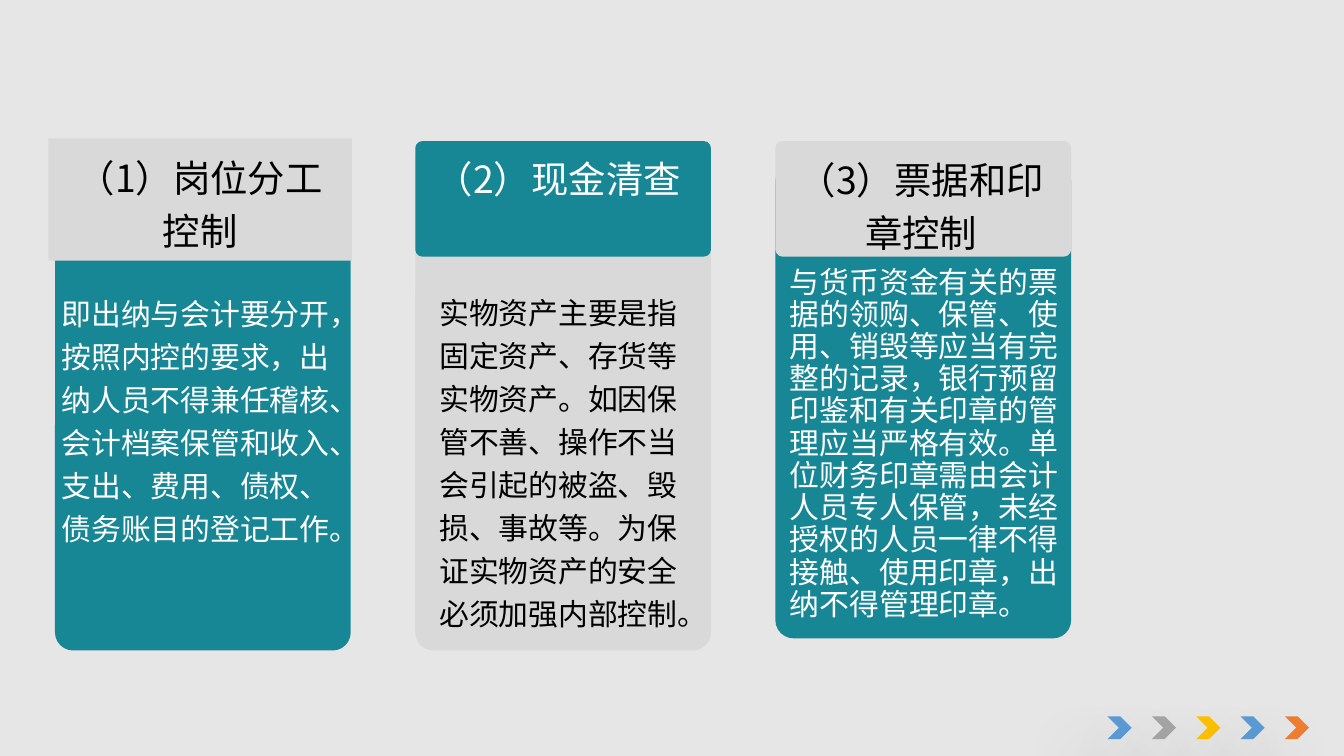
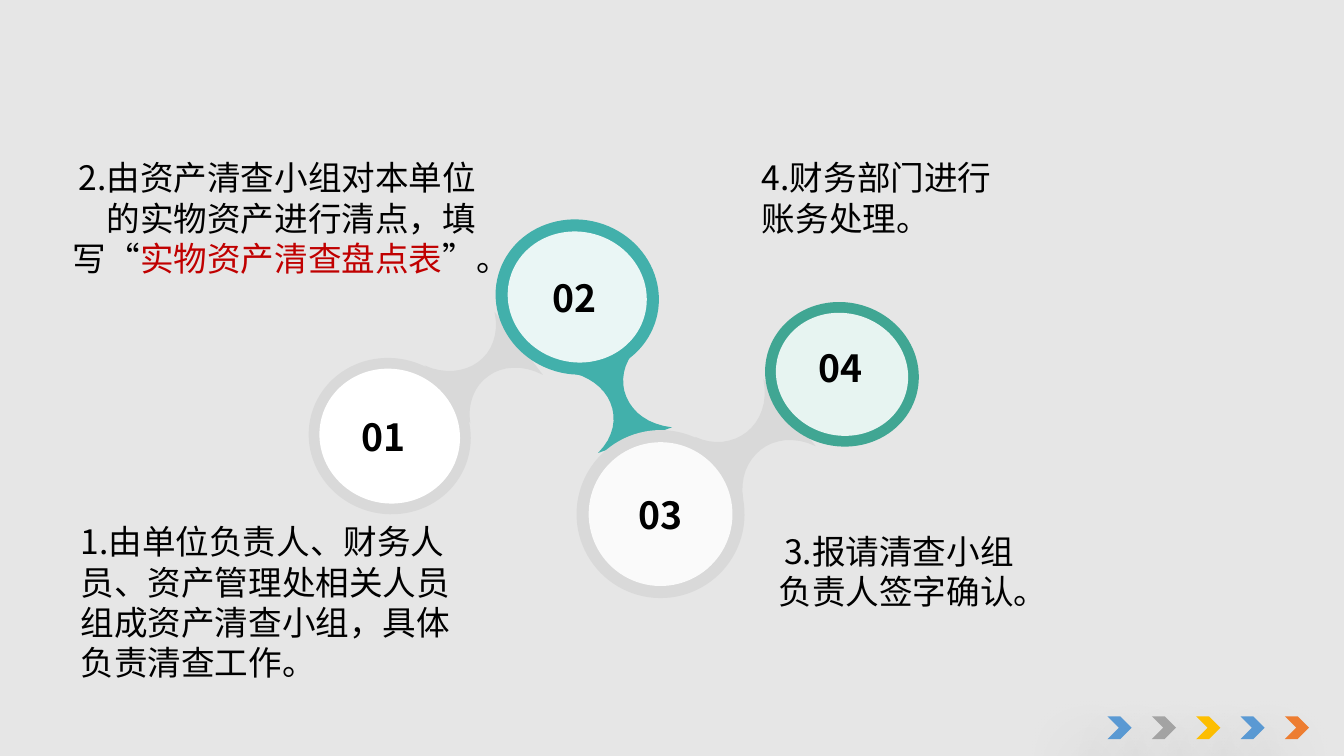
from dataclasses import dataclass

from lxml import etree
from pptx import Presentation
from pptx import util as u
from pptx.dml.color import RGBColor
from pptx.enum import shapes, text
from pptx.oxml.ns import qn


@dataclass(frozen=True)
class Theme:
    font: str = "Noto Sans CJK SC"
    page: str = "E6E6E6"
    teal: str = "178695"
    grey: str = "D9D9D9"
    white: str = "FFFFFF"
    black: str = "000000"
    red: str = "C00000"
    aqua: str = "42B0AB"
    green: str = "40A693"
    heading: int = 20
    note: int = 18
    body: int = 16
    chevrons: tuple = ("5B9BD5", "A5A5A5", "FFC000", "5B9BD5", "ED7D31")


THEME = Theme()
SHAPE = shapes.MSO_SHAPE
ALIGN = text.PP_ALIGN

# ---- Content: control cards (boxes are left offset from column, top, width, height)
COLUMN_LEFT, COLUMN_STEP, COLUMN_WIDTH = 0.41, 2.68, 2.2
CARD_TOP, CARD_HEIGHT, HEADER_HEIGHT, CORNER = 1.05, 3.79, 0.86, 0.061
CARDS = [
    dict(heading="（1）岗位分工控制", square_header=(-0.05, 1.03, 2.26, 0.91),
         panel=THEME.teal, header=THEME.grey, heading_color=THEME.black,
         body_color=THEME.white, body_box=(-0.05, 2.1, 2.21, 2.04), spacing=1.2,
         body="即出纳与会计要分开，按照内控的要求，出纳人员不得兼任稽核、会计档案保管和收入、"
              "支出、费用、债权、债务账目的登记工作。"),
    dict(heading="（2）现金清查", heading_box=(-0.02, 1.05, 2.17, 0.47),
         panel=THEME.grey, header=THEME.teal, heading_color=THEME.white,
         body_color=THEME.black, body_box=(0.08, 2.09, 2.09, 2.66), spacing=1.2,
         body="实物资产主要是指固定资产、存货等实物资产。如因保管不善、操作不当会引起的被盗、"
              "毁损、事故等。为保证实物资产的安全必须加强内部控制。"),
    dict(heading="（3）票据和印章控制", heading_box=(0, 1.05, 2.17, 0.88),
         panel=THEME.teal, header=THEME.grey, heading_color=THEME.black,
         panel_top=1.21, panel_height=3.54,
         body_color=THEME.white, body_box=(0.01, 1.94, 2.37, 2.77), spacing=0.9,
         body="与货币资金有关的票据的领购、保管、使用、销毁等应当有完整的记录，银行预留印鉴和"
              "有关印章的管理应当严格有效。单位财务印章需由会计人员专人保管，未经授权的人员"
              "一律不得接触、使用印章，出纳不得管理印章。"),
]

# ---- Content: inventory steps
TILT = 285.8
# A link is: start, curve, far corner, next curve; each curve is (control, control, end)
STEPS = [
    dict(number="01", number_at=(2.59, 3.03), ring=(2.32, 2.64, 1.16, 1.21), inset=0.08,
         color=THEME.grey, opacity=100,
         link=((3.16, 2.72), ((3.45, 2.85), (3.75, 2.66), (3.68, 2.32)), (4.04, 2.79),
               ((3.73, 2.63), (3.45, 2.85), (3.5, 3.15)))),
    dict(number="02", number_at=(4.01, 2), ring=(3.72, 1.6, 1.15, 1.22), inset=0.09,
         color=THEME.aqua, opacity=89,
         link=((4.74, 2.59), ((4.53, 2.81), (4.65, 3.14), (5, 3.18)), (4.45, 3.37),
               ((4.69, 3.13), (4.53, 2.81), (4.22, 2.77)))),
    dict(number="03", number_at=(4.65, 3.61), ring=(4.29, 3.2, 1.25, 1.25), inset=0.09,
         color=THEME.grey, opacity=88,
         link=((5.17, 3.25), ((5.45, 3.38), (5.75, 3.17), (5.68, 2.82)), (6.07, 3.32),
               ((5.75, 3.17), (5.48, 3.41), (5.53, 3.71)))),
    dict(number="04", number_at=(5.99, 2.52), ring=(5.73, 2.21, 1.07, 1.15), inset=0.08,
         color=THEME.green, opacity=88, link=None),
]
NOTES = [
    ((0.4, 1.12, 3.24, 1.01), ALIGN.RIGHT,
     [("2.由资产清查小组对本单位的实物资产进行清点，填写“", THEME.black),
      ("实物资产清查盘点表", THEME.red), ("”。", THEME.black)]),
    ((5.57, 1.12, 1.95, 0.71), ALIGN.LEFT, [("4.财务部门进行账务处理。", THEME.black)]),
    ((0.5, 3.83, 3.05, 1.31), ALIGN.LEFT,
     [("1.由单位负责人、财务人员、资产管理处相关人员组成资产清查小组，具体负责清查工作。",
       THEME.black)]),
    ((5.59, 3.9, 2.05, 0.71), ALIGN.RIGHT,
     [("3.报请清查小组负责人签字确认。", THEME.black)]),
]


# ---- Helpers
def inches(box):
    return [u.Inches(length) for length in box]


def paint(shape, color, opacity=100):
    shape.shadow.inherit = False
    shape.fill.solid()
    shape.fill.fore_color.rgb = RGBColor.from_string(color)
    shape.line.fill.background()
    if opacity < 100:
        tone = shape._element.spPr.find(qn("a:solidFill"))[0]
        etree.SubElement(tone, qn("a:alpha"), val=str(opacity * 1000))
    return shape


def add_shape(parent, kind, box, color, opacity=100, rotation=0, corner=None):
    shape = parent.shapes.add_shape(kind, *inches(box))
    shape.rotation = rotation
    if corner is not None:
        shape.adjustments[0] = corner
    return paint(shape, color, opacity)


def write(shape, runs, size, align=ALIGN.LEFT, spacing=None, bold=False, wrap=True):
    frame = shape.text_frame
    frame.word_wrap = wrap
    frame.auto_size = text.MSO_AUTO_SIZE.SHAPE_TO_FIT_TEXT
    paragraph = frame.paragraphs[0]
    paragraph.alignment = align
    if spacing:
        paragraph.line_spacing = spacing
    font = paragraph.font
    font.name, font.size, font.bold = THEME.font, u.Pt(size), bold
    font.color.rgb = RGBColor.from_string(runs[0][1])
    defaults = paragraph._p.pPr.find(qn("a:defRPr"))
    etree.SubElement(defaults, qn("a:ea"), typeface=THEME.font)
    for words, color in runs:
        run = paragraph.add_run()
        run.text = words
        if len(runs) > 1:
            run.font.color.rgb = RGBColor.from_string(color)


def add_text(slide, box, runs, size, **options):
    write(slide.shapes.add_textbox(*inches(box)), runs, size, **options)


def bezier(start, curve, pieces=16):
    first, second, end = curve
    for step in range(1, pieces + 1):
        t = step / pieces
        s = 1 - t
        yield tuple(s**3 * a + 3 * s * s * t * b + 3 * s * t * t * c + t**3 * d
                    for a, b, c, d in zip(start, first, second, end))


def add_link(group, link, color):
    start, curve, corner, next_curve = link
    points = [start, *bezier(start, curve), corner, *bezier(corner, next_curve)]
    (left, top), *rest = [(x * 1000, y * 1000) for x, y in points]
    builder = group.shapes.build_freeform(left, top, scale=u.Inches(1) / 1000)
    builder.add_line_segments(rest, close=True)
    paint(builder.convert_to_shape(), color)


def add_slide(presentation):
    """Blank slide with the row of chevrons in its lower right corner."""
    slide = presentation.slides.add_slide(presentation.slide_layouts[6])
    for index, color in enumerate(THEME.chevrons):
        chevron = add_shape(slide, SHAPE.CHEVRON,
                            (8.24 + 0.33 * index, 5.33, 0.18, 0.17), color)
        effects = chevron._element.spPr.find(qn("a:effectLst"))
        shadow = etree.SubElement(effects, qn("a:outerShdw"), blurRad=str(u.Pt(36)),
                                  dist=str(u.Pt(24)), dir=str(130 * 60000))
        tone = etree.SubElement(shadow, qn("a:srgbClr"), val=THEME.black)
        etree.SubElement(tone, qn("a:alpha"), val="38000")
    return slide


# ---- Presentation: 16 by 9
presentation = Presentation()
presentation.slide_width = u.Inches(10)
presentation.slide_height = presentation.slide_width * 9 // 16
background = presentation.slide_master.background.fill
background.solid()
background.fore_color.rgb = RGBColor.from_string(THEME.page)

# ---- Slide 1: three control cards
slide = add_slide(presentation)
for index, card in enumerate(CARDS):
    left = COLUMN_LEFT + COLUMN_STEP * index

    def in_column(box):
        return (left + box[0], *box[1:])

    panel = (0, card.get("panel_top", CARD_TOP), COLUMN_WIDTH,
             card.get("panel_height", CARD_HEIGHT))
    add_shape(slide, SHAPE.ROUNDED_RECTANGLE, in_column(panel), card["panel"], corner=CORNER)
    heading = [(card["heading"], card["heading_color"])]
    heading_style = dict(size=THEME.heading, align=ALIGN.CENTER, spacing=1.2)
    if "square_header" in card:
        header = add_shape(slide, SHAPE.RECTANGLE, in_column(card["square_header"]),
                           card["header"])
        write(header, heading, **heading_style)
    else:
        add_shape(slide, SHAPE.ROUNDED_RECTANGLE,
                  in_column((0, CARD_TOP, COLUMN_WIDTH, HEADER_HEIGHT)),
                  card["header"], corner=CORNER)
        add_text(slide, in_column(card["heading_box"]), heading, **heading_style)
    add_text(slide, in_column(card["body_box"]), [(card["body"], card["body_color"])],
             THEME.body, spacing=card["spacing"])

# ---- Slide 2: four linked steps with notes
slide = add_slide(presentation)
for step in STEPS:
    group = slide.shapes.add_group_shape()
    if step["link"]:
        add_link(group, step["link"], step["color"])
    left, top, width, height = step["ring"]
    inset = step["inset"]
    add_shape(group, SHAPE.OVAL, step["ring"], step["color"], rotation=TILT)
    add_shape(group, SHAPE.OVAL,
              (left + inset, top + inset, width - 2 * inset, height - 2 * inset),
              THEME.white, step["opacity"], TILT)
for step in STEPS:
    add_text(slide, (*step["number_at"], 0.55, 0.44), [(step["number"], THEME.black)],
             THEME.heading, bold=True, wrap=False)
for box, align, runs in NOTES:
    add_text(slide, box, runs, THEME.note, align=align)

presentation.save("out.pptx")
